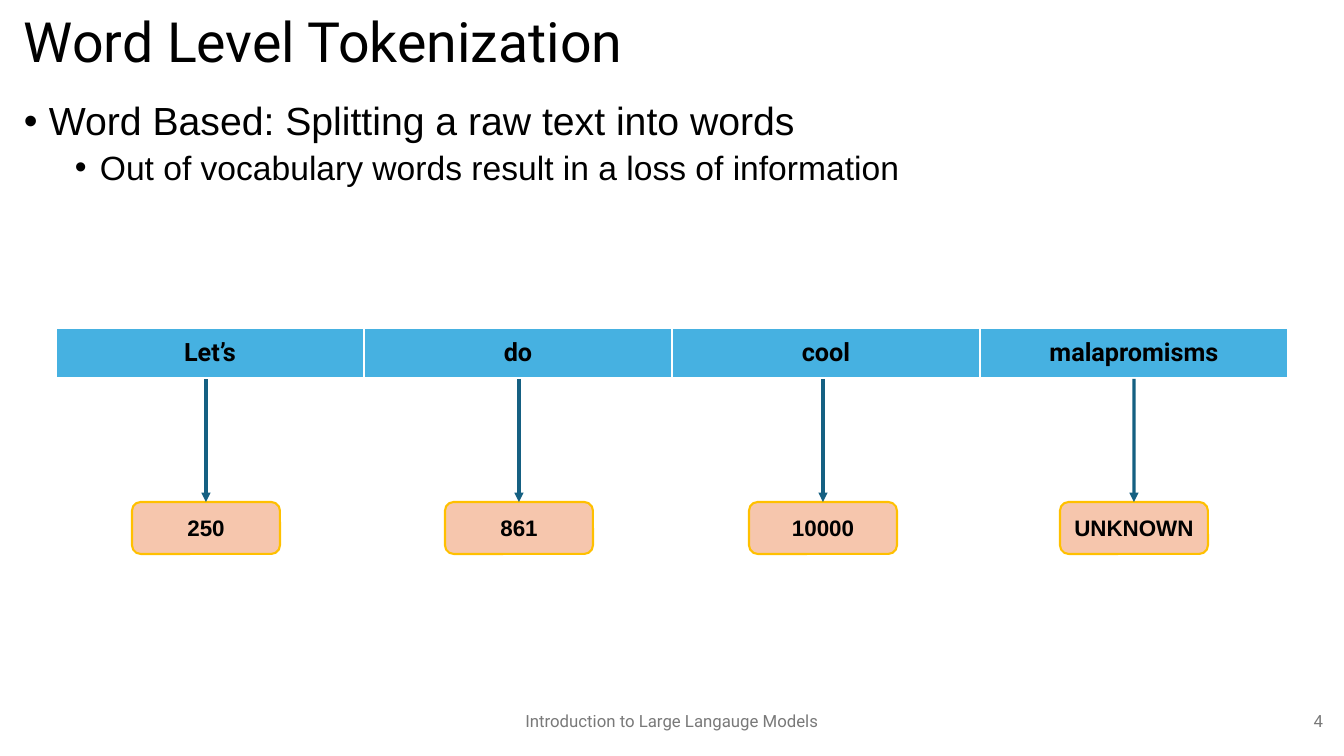
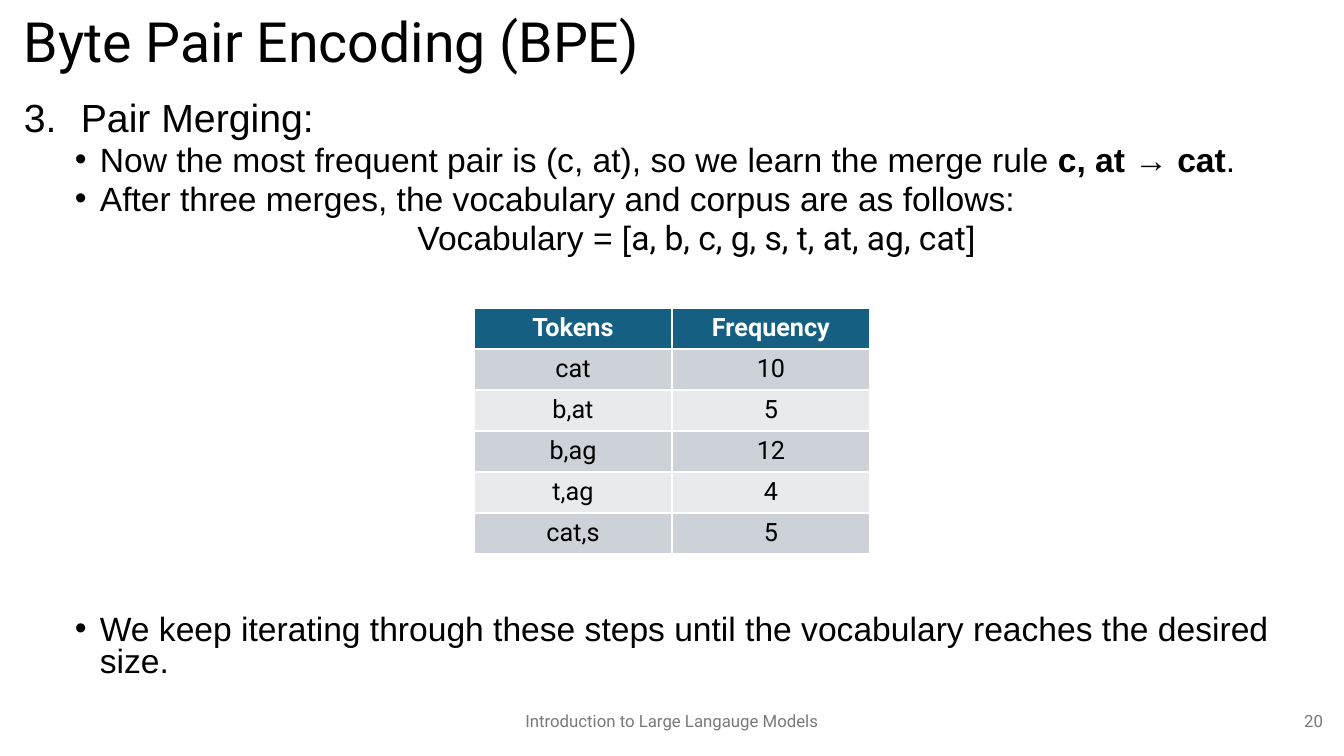
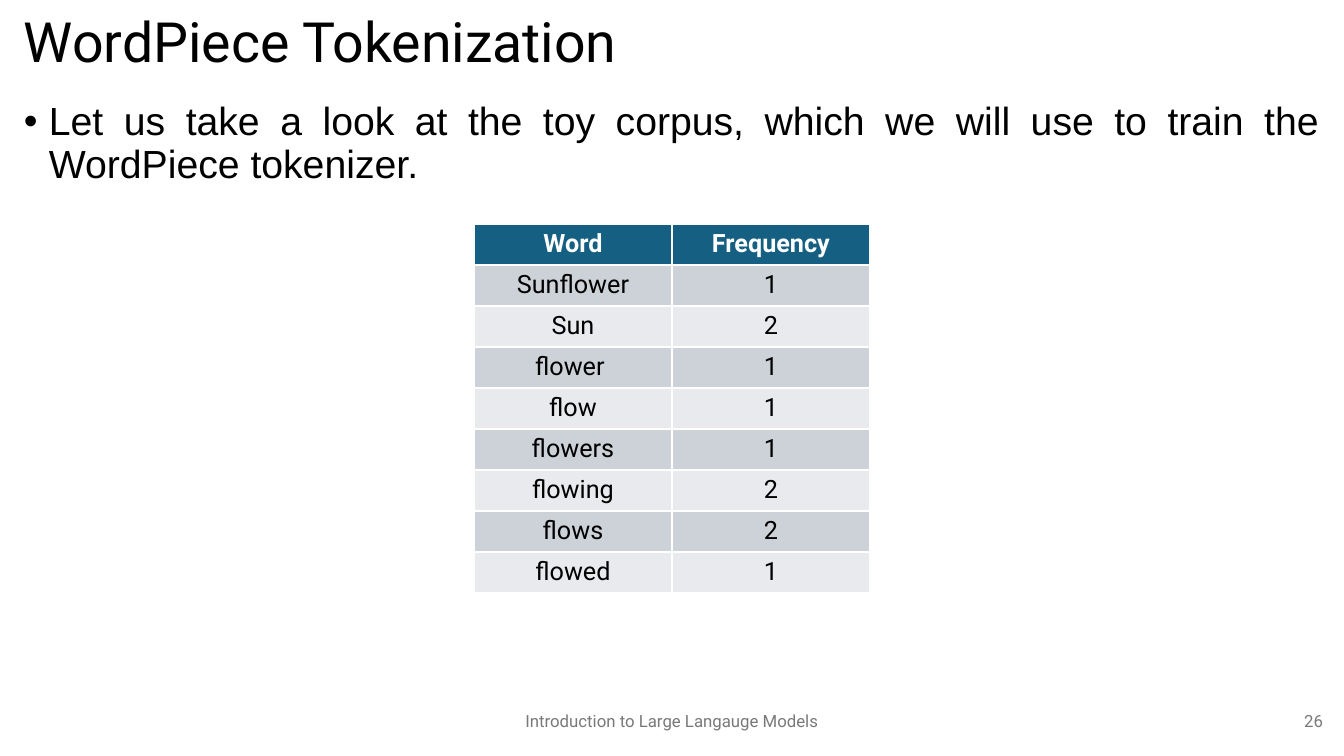
"""Build three slides about word, byte pair and WordPiece tokenization."""
from lxml.etree import SubElement
from pptx import Presentation
from pptx.dml.color import RGBColor
from pptx.enum.shapes import MSO_CONNECTOR, MSO_SHAPE
from pptx.enum.text import MSO_ANCHOR, PP_ALIGN
from pptx.oxml.ns import qn
from pptx.util import Emu, Pt

SLIDE_WIDTH, SLIDE_HEIGHT = 1344, 756
SCALE = 12192000 / SLIDE_WIDTH

BLACK, WHITE, GRAY = "000000", "FFFFFF", "797979"
TEAL, SKY, PEACH, GOLD = "156082", "46B1E1", "F6C6AD", "FFC000"
BANDS = ["CCD2D8", "E8EAED"]
FOOTER = "Introduction to Large Langauge Models"

STYLES = {
    "bullet": dict(level=0, margin=25, indent=-25, size=28, before=10, align=PP_ALIGN.JUSTIFY,
                   marker=("a:buChar", {"char": "•"})),
    "step": dict(level=0, margin=57, indent=-57, size=28, before=10, align=PP_ALIGN.LEFT,
                 marker=("a:buAutoNum", {"type": "arabicPeriod", "startAt": "3"})),
    "detail": dict(level=1, margin=76, indent=-25, size=24, before=5, align=PP_ALIGN.LEFT,
                   marker=("a:buChar", {"char": "•"})),
    "formula": dict(level=1, margin=50, indent=0, size=24, before=5, align=PP_ALIGN.CENTER,
                    marker=("a:buNone", {})),
}

SLIDES = [
    dict(
        title="Word Level Tokenization", number="4", spacing=0.9,
        bodies=[(97, 200, [
            ("bullet", [("Word Based: Splitting a raw text into words", "Arial", False)]),
            ("detail", [("Out of vocabulary words result in a loss of information", "Arial", False)]),
        ])],
        table=dict(left=56, top=328, column=308, row=50, header=SKY, color=BLACK,
                   rows=[["Let’s", "do", "cool", "malapromisms"]]),
        tokens=[("250", 132), ("861", 445), ("10000", 749), ("UNKNOWN", 1060)],
    ),
    dict(
        title="Byte Pair Encoding (BPE)", number="20", spacing=0.8,
        bodies=[
            (97, 180, [
                ("step", [("Pair Merging:", "Arial", False)]),
                ("detail", [("Now the most frequent pair is (c, at), so we learn the merge rule ", "Arial", False),
                            ("c, at → cat", "Arial", True), (".", "Arial", False)]),
                ("detail", [("After three merges, the vocabulary and corpus are as follows:", "Arial", False)]),
                ("formula", [("Vocabulary = [", "Arial", False),
                             ("a, b, c, g, s, t, at, ag, cat", "Roboto", False), ("]", "Arial", False)]),
            ]),
            (611, 80, [
                ("detail", [("We keep iterating through these steps until the vocabulary reaches "
                             "the desired size.", "Arial", False)]),
            ]),
        ],
        table=dict(left=474, top=308, column=198, row=41, header=TEAL, color=WHITE,
                   rows=[["Tokens", "Frequency"], ["cat", "10"], ["b,at", "5"], ["b,ag", "12"],
                         ["t,ag", "4"], ["cat,s", "5"]]),
        tokens=[],
    ),
    dict(
        title="WordPiece Tokenization", number="26", spacing=0.9,
        bodies=[(97, 110, [
            ("bullet", [("Let us take a look at the toy corpus, which we will use to train the "
                         "WordPiece tokenizer.", "Arial", False)]),
        ])],
        table=dict(left=474, top=224, column=198, row=41, header=TEAL, color=WHITE,
                   rows=[["Word", "Frequency"], ["Sunflower", "1"], ["Sun", "2"], ["flower ", "1"],
                         ["flow", "1"], ["flowers", "1"], ["flowing", "2"], ["flows", "2"],
                         ["flowed", "1"]]),
        tokens=[],
    ),
]


def px(*lengths):
    return [Emu(round(length * SCALE)) for length in lengths]


def format_run(run, font, size, color, bold=False):
    run.font.name = font
    run.font.size = Pt(size)
    run.font.bold = bold
    run.font.color.rgb = RGBColor.from_string(color)


presentation = Presentation()
presentation.slide_width, presentation.slide_height = px(SLIDE_WIDTH, SLIDE_HEIGHT)

for content in SLIDES:
    slide = presentation.slides.add_slide(presentation.slide_layouts[6])

    for text, box, size, color, align, spacing in [
        (content["title"], (14, 9, 1315, 71), 39.6, BLACK, PP_ALIGN.LEFT, 0.9),
        (FOOTER, (445, 701, 454, 40), 12, GRAY, PP_ALIGN.CENTER, 1.0),
        (content["number"], (1031, 701, 302, 40), 12, GRAY, PP_ALIGN.RIGHT, 1.0),
    ]:
        text_frame = slide.shapes.add_textbox(*px(*box)).text_frame
        text_frame.word_wrap = True
        text_frame.vertical_anchor = MSO_ANCHOR.MIDDLE
        text_frame.text = text
        paragraph = text_frame.paragraphs[0]
        paragraph.alignment = align
        paragraph.line_spacing = spacing
        format_run(paragraph.runs[0], "Roboto", size, color)

    for top, height, paragraphs in content["bodies"]:
        text_frame = slide.shapes.add_textbox(*px(14, top, 1315, height)).text_frame
        text_frame.word_wrap = True
        for index, (style_name, runs) in enumerate(paragraphs):
            style = STYLES[style_name]
            paragraph = text_frame.add_paragraph() if index else text_frame.paragraphs[0]
            properties = paragraph._p.get_or_add_pPr()
            margin, indent = px(style["margin"], style["indent"])
            properties.set("marL", str(margin))
            properties.set("indent", str(indent))
            tag, attributes = style["marker"]
            SubElement(properties, qn("a:buFont"), typeface="Arial")
            SubElement(properties, qn(tag), **attributes)
            paragraph.level = style["level"]
            paragraph.alignment = style["align"]
            paragraph.line_spacing = content["spacing"]
            paragraph.space_before = Pt(style["before"] if index else 0)
            for text, font, bold in runs:
                run = paragraph.add_run()
                run.text = text
                format_run(run, font, style["size"], BLACK, bold)

    grid = content["table"]
    rows = grid["rows"]
    row_count, column_count = len(rows), len(rows[0])
    table = slide.shapes.add_table(row_count, column_count, *px(
        grid["left"], grid["top"], grid["column"] * column_count, grid["row"] * row_count)).table
    for row_index, row in enumerate(rows):
        is_header = row_index == 0
        fill = grid["header"] if is_header else BANDS[(row_index - 1) % 2]
        for column_index, text in enumerate(row):
            cell = table.cell(row_index, column_index)
            cell.fill.solid()
            cell.fill.fore_color.rgb = RGBColor.from_string(fill)
            cell.vertical_anchor = MSO_ANCHOR.MIDDLE if row_count == 1 else MSO_ANCHOR.TOP
            cell.text_frame.text = text
            paragraph = cell.text_frame.paragraphs[0]
            paragraph.alignment = PP_ALIGN.CENTER
            format_run(paragraph.runs[0], "Roboto", 18, grid["color"] if is_header else BLACK, is_header)

    for text, left in content["tokens"]:
        token = slide.shapes.add_shape(MSO_SHAPE.ROUNDED_RECTANGLE, *px(left, 502, 148, 52))
        token.shadow.inherit = False
        token.fill.solid()
        token.fill.fore_color.rgb = RGBColor.from_string(PEACH)
        token.line.color.rgb = RGBColor.from_string(GOLD)
        token.line.width = Pt(1.5)
        token.text_frame.text = text
        token.text_frame.vertical_anchor = MSO_ANCHOR.MIDDLE
        paragraph = token.text_frame.paragraphs[0]
        paragraph.alignment = PP_ALIGN.CENTER
        format_run(paragraph.runs[0], "Arial", 16, BLACK, True)

        center = left + 74
        arrow = slide.shapes.add_connector(MSO_CONNECTOR.STRAIGHT, *px(center, 379, center, 502))
        arrow.end_connect(token, 0)
        arrow.line.color.rgb = RGBColor.from_string(TEAL)
        arrow.line.width = Pt(2.25)
        SubElement(arrow.line._get_or_add_ln(), qn("a:tailEnd"), type="triangle")
        SubElement(arrow._element.spPr, qn("a:effectLst"))

presentation.save("out.pptx")
